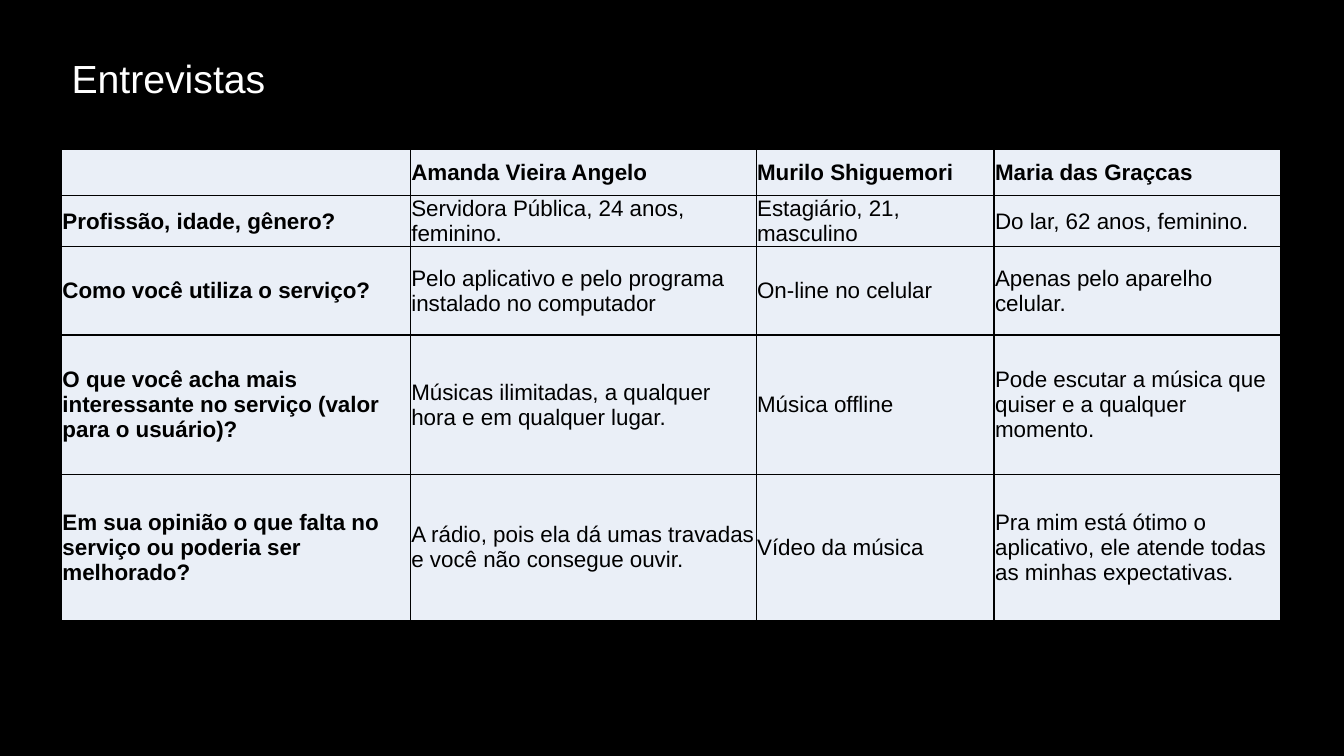
"""Build the interview table slide."""
from lxml import etree
from pptx import Presentation
from pptx import util as u
from pptx.dml.color import RGBColor
from pptx.enum import text
from pptx.oxml import ns

COLORS = {"back": "000000", "title": "FFFFFF", "ink": "000000",
          "cell": "EAEFF7", "rule": "000000"}
FONT = "Arial"
COLS = [3.46, 3.43, 2.36, 2.84]
ROWS = [0.46, 0.46, 0.88, 1.38, 1.45]
ANSWERS = [
    ["", "Amanda Vieira Angelo", "Murilo Shiguemori", "Maria das Graçcas"],
    ["Profissão, idade, gênero?", "Servidora Pública, 24 anos, feminino.",
     "Estagiário, 21, masculino", "Do lar, 62 anos, feminino."],
    ["Como você utiliza o serviço?",
     "Pelo aplicativo e pelo programa instalado no computador",
     "On-line no celular", "Apenas pelo aparelho celular."],
    ["O que você acha mais interessante no serviço (valor para o usuário)?",
     "Músicas ilimitadas, a qualquer hora e em qualquer lugar.",
     "Música offline",
     "Pode escutar a música que quiser e a qualquer momento."],
    ["Em sua opinião o que falta no serviço ou poderia ser melhorado?",
     "A rádio, pois ela dá umas travadas e você não consegue ouvir.",
     "Vídeo da música",
     "Pra mim está ótimo o aplicativo, ele atende todas as minhas expectativas."],
]


def paint(fill, name):
    fill.solid()
    fill.fore_color.rgb = RGBColor.from_string(COLORS[name])


def style(frame, size, color, bold=False):
    for para in frame.paragraphs:
        para.alignment = text.PP_ALIGN.LEFT
        for run in para.runs:
            run.font.name = FONT
            run.font.size = u.Pt(size)
            run.font.bold = bold
            run.font.color.rgb = RGBColor.from_string(COLORS[color])


def add_title(slide, words):
    title = slide.shapes.title
    title.left, title.top = u.Inches(0.61), u.Inches(0.49)
    title.width, title.height = u.Inches(6.61), u.Inches(0.57)
    frame = title.text_frame
    frame.text = words
    frame.word_wrap = True
    frame.auto_size = text.MSO_AUTO_SIZE.NONE
    frame.vertical_anchor = text.MSO_ANCHOR.TOP
    style(frame, 28, "title")


def add_rules(cell):
    props = cell._tc.get_or_add_tcPr()
    for side in ("lnL", "lnR", "lnT", "lnB"):
        line = etree.SubElement(props, ns.qn("a:" + side), w=str(u.Pt(1)))
        fill = etree.SubElement(line, ns.qn("a:solidFill"))
        etree.SubElement(fill, ns.qn("a:srgbClr"), val=COLORS["rule"])


def fill_cell(cell, words, bold):
    cell.text = words
    cell.vertical_anchor = text.MSO_ANCHOR.MIDDLE
    cell.margin_left = cell.margin_right = cell.margin_top = u.Inches(0.01)
    cell.margin_bottom = 0
    add_rules(cell)
    paint(cell.fill, "cell")
    style(cell.text_frame, 16, "ink", bold)


def add_grid(slide):
    frame = slide.shapes.add_table(
        len(ROWS), len(COLS), u.Inches(0.61), u.Inches(1.48),
        u.Inches(sum(COLS)), u.Inches(sum(ROWS)))
    table = frame.table
    for col, width in zip(table.columns, COLS):
        col.width = u.Inches(width)
    for row, height in zip(table.rows, ROWS):
        row.height = u.Inches(height)
    for r, line in enumerate(ANSWERS):
        for c, words in enumerate(line):
            fill_cell(table.cell(r, c), words, r == 0 or c == 0)


def main():
    deck = Presentation()
    deck.slide_width, deck.slide_height = u.Inches(13.33), u.Inches(7.5)
    slide = deck.slides.add_slide(deck.slide_layouts[5])
    paint(slide.background.fill, "back")
    add_grid(slide)
    add_title(slide, "Entrevistas")
    deck.save("out.pptx")


if __name__ == "__main__":
    main()
